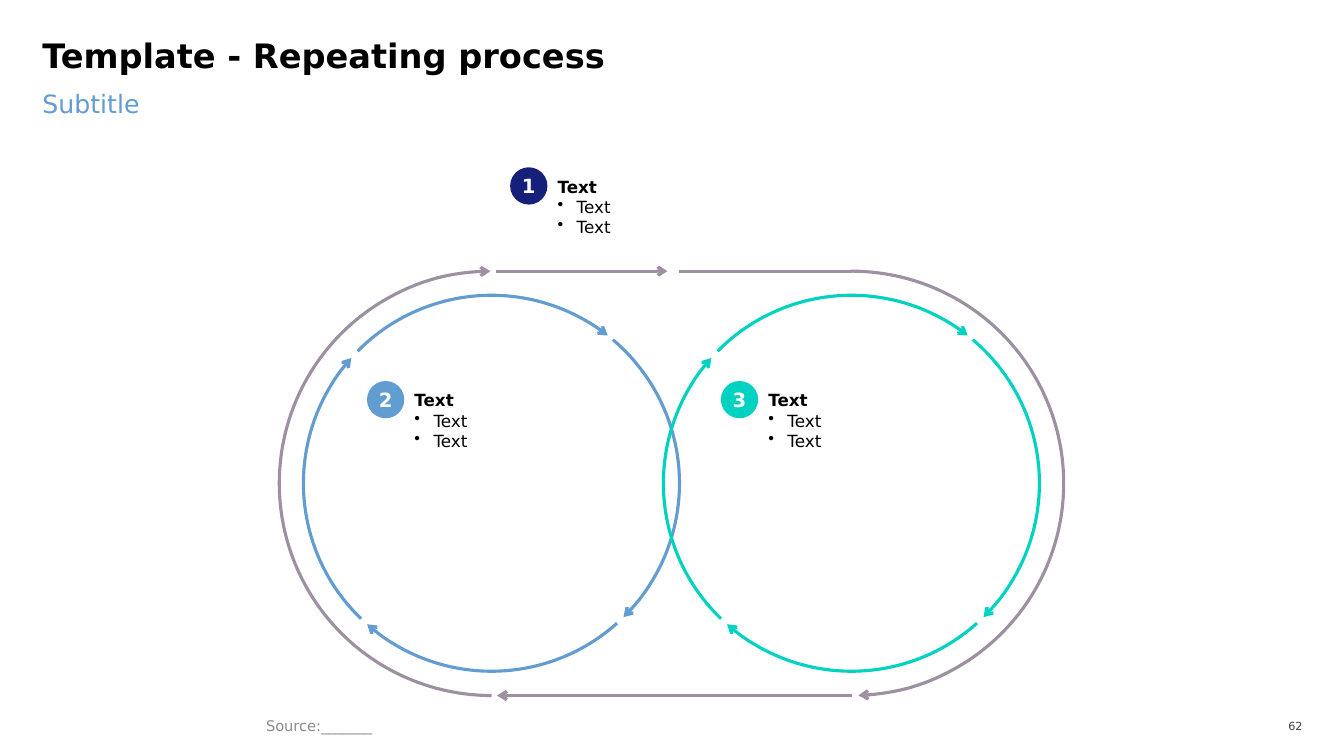
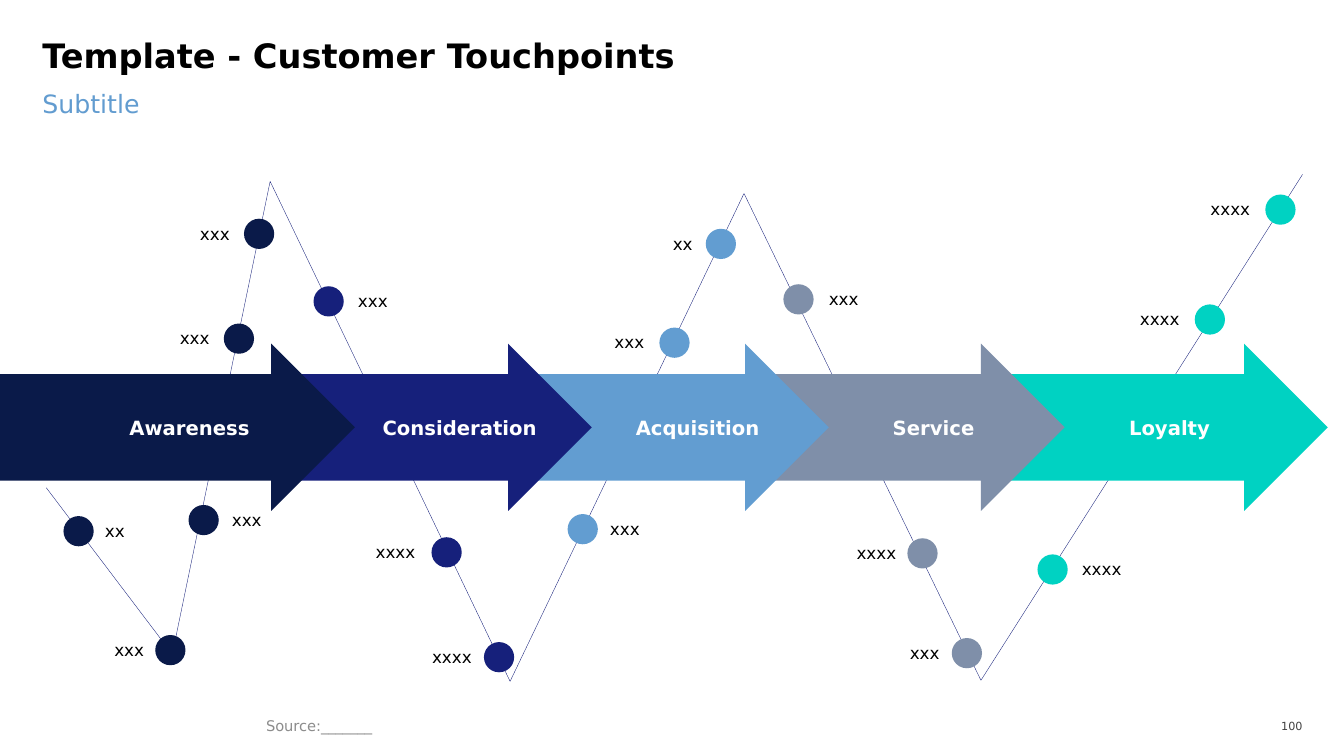
from lxml.etree import SubElement
from pptx import Presentation
from pptx.dml.color import RGBColor
from pptx.enum.shapes import MSO_CONNECTOR, MSO_SHAPE
from pptx.enum.text import MSO_ANCHOR, MSO_AUTO_SIZE, PP_ALIGN
from pptx.oxml.ns import qn
from pptx.util import Pt

EMU_PER_PX = 9144  # 100 px to the inch
FONT = "DejaVu Sans"
COLOURS = {
    "black": "000000", "white": "FFFFFF", "page": "404040", "source": "8C8C8C",
    "subtitle": "629CD0", "track": "9D90A0", "midnight": "0A1A49",
    "navy": "16207B", "blue": "629DD1", "slate": "7F8FA9", "teal": "00D2C2",
}
TITLE = {"size": 24, "bold": True}
BADGE = {"size": 14, "bold": True, "colour": "white", "align": PP_ALIGN.CENTER}
STAGE = BADGE
TOP, MIDDLE = MSO_ANCHOR.TOP, MSO_ANCHOR.MIDDLE
NO_MARGIN = (0, 0)

# start and end of the four arcs of an inner circle, in degrees clockwise from the right
CIRCLE_ARCS = [(133.9, 221.8), (224.6, 308.2), (310.2, 45.4), (48.1, 131.4)]

# left, width, colour, label, centre of the label
STAGES = [
    (0, 352, "midnight", "Awareness", 188),
    (277, 310, "navy", "Consideration", 456),
    (512, 310, "blue", "Acquisition", 692),
    (746, 310, "slate", "Service", 926),
    (981, 336, "teal", "Loyalty", 1160),
]
JOURNEY = [(46, 314), (171, 479), (268, 10), (506, 506), (738, 22), (973, 505), (1292, 3)]
# left, top, colour, label, gap to the label (negative: label on the left)
TOUCHPOINTS = [
    (63, 342, "midnight", "xx", 6), (154, 460, "midnight", "xxx", -6),
    (187, 331, "midnight", "xxx", 8), (222, 151, "midnight", "xxx", -9),
    (242, 47, "midnight", "xxx", -9), (311, 114, "navy", "xxx", 9),
    (428, 363, "navy", "xxxx", -11), (480, 467, "navy", "xxxx", -7),
    (563, 340, "blue", "xxx", 7), (654, 155, "blue", "xxx", -10),
    (700, 57, "blue", "xx", -8), (777, 112, "slate", "xxx", 10),
    (900, 364, "slate", "xxxx", -6), (944, 463, "slate", "xxx", -7),
    (1029, 380, "teal", "xxxx", 9), (1185, 132, "teal", "xxxx", -10),
    (1255, 23, "teal", "xxxx", -10),
]


def px(*lengths):
    return [round(length * EMU_PER_PX) for length in lengths]


def rgb(name):
    return RGBColor.from_string(COLOURS[name])


def set_attributes(target, values):
    for name, value in values.items():
        setattr(target, name, value)


def format_paragraph(paragraph, size, bold=False, colour="black", align=PP_ALIGN.LEFT):
    paragraph.alignment = align
    set_attributes(paragraph.font, {"name": FONT, "size": Pt(size), "bold": bold})
    paragraph.font.color.rgb = rgb(colour)


def write(shape, text, margin=NO_MARGIN, anchor=TOP, **text_format):
    """Put one formatted paragraph in a shape; margin is (side, top and bottom)."""
    side, end = px(*margin)
    set_attributes(shape.text_frame, {
        "word_wrap": True, "auto_size": MSO_AUTO_SIZE.NONE, "vertical_anchor": anchor,
        "margin_left": side, "margin_right": side, "margin_top": end, "margin_bottom": end,
    })
    paragraph = shape.text_frame.paragraphs[0]
    paragraph.text = text
    format_paragraph(paragraph, **text_format)
    return paragraph


def add_text(slide, box, text, **options):
    shape = slide.shapes.add_textbox(*px(*box))
    write(shape, text, **options)
    return shape


def add_filled(slide, kind, box, colour):
    shape = slide.shapes.add_shape(kind, *px(*box))
    shape.shadow.inherit = False
    shape.fill.solid()
    shape.fill.fore_color.rgb = rgb(colour)
    shape.line.fill.background()
    return shape


def format_line(shape, colour, width, arrow=False):
    shape.line.color.rgb = rgb(colour)
    shape.line.width = Pt(width)
    if arrow:
        SubElement(shape.line._get_or_add_ln(), qn("a:tailEnd"), type="arrow")


def add_arc(slide, box, angles, colour):
    arc = slide.shapes.add_shape(MSO_SHAPE.ARC, *px(*box))
    arc.shadow.inherit = False
    arc.fill.background()
    for index, degrees in enumerate(angles):
        # an adjustment counts 100000 units, a degree 60000
        arc.adjustments[index] = degrees * 0.6
    format_line(arc, colour, 2.25, arrow=True)


def add_track_line(slide, start, end, arrow):
    line = slide.shapes.add_connector(MSO_CONNECTOR.STRAIGHT, *px(*start, *end))
    format_line(line, "track", 2.25, arrow)
    SubElement(line._element.spPr, qn("a:effectLst"))


def add_slide(presentation, title, number):
    """Add a slide with the title, subtitle, source and page number all slides share."""
    slide = presentation.slides.add_slide(presentation.slide_layouts[5])
    heading = slide.shapes.title
    names = ("left", "top", "width", "height")
    set_attributes(heading, dict(zip(names, px(42, 42, 1249, 53))))
    write(heading, title, **TITLE).line_spacing = 0.8
    add_text(slide, (42, 88, 1249, 63), "Subtitle", size=18, colour="subtitle")
    add_text(slide, (254, 707, 639, 26), "Source:_______", margin=(10, 5),
             anchor=MIDDLE, size=10.5, colour="source")
    add_text(slide, (1250, 709, 42, 23), str(number), anchor=MIDDLE, size=8,
             colour="page", align=PP_ALIGN.RIGHT)
    return slide


def add_numbered_note(slide, left, top, width, number, colour):
    badge = add_filled(slide, MSO_SHAPE.OVAL, (left, top, 37, 37), colour)
    write(badge, str(number), anchor=MIDDLE, **BADGE)
    note = add_text(slide, (left + 47, top + 9, width, 61), "Text", size=12, bold=True)
    indent, = px(19)
    for _ in range(2):
        paragraph = note.text_frame.add_paragraph()
        paragraph.text = "Text"
        properties = paragraph._p.get_or_add_pPr()
        properties.set("marL", str(indent))
        properties.set("indent", str(-indent))
        SubElement(properties, qn("a:buChar"), char="•")
        format_paragraph(paragraph, size=12)


def add_track(slide, left, top, width, height):
    """Draw the outer track and the two circles that overlap inside it."""
    inset = 24
    right, bottom = left + width, top + height
    diameter = height - 2 * inset
    circles = [(left + inset, "subtitle"), (right - inset - diameter, "teal")]
    for circle_left, colour in circles:
        for angles in CIRCLE_ARCS:
            add_arc(slide, (circle_left, top + inset, diameter, diameter), angles, colour)
    add_arc(slide, (left, top, height, height), (90, 269.7), "track")
    add_arc(slide, (right - height, top, height, height), (269.7, 88.1), "track")
    for start, end, y, arrow in [(215, 385, top, True), (396, 568, top, False),
                                 (568, 216, bottom, True)]:
        add_track_line(slide, (left + start, y), (left + end, y), arrow)


def add_journey_line(slide, left, top):
    points = [(left + x, top + y) for x, y in JOURNEY]
    builder = slide.shapes.build_freeform(*points[0], scale=EMU_PER_PX)
    builder.add_line_segments(points[1:], close=False)
    journey = builder.convert_to_shape()
    journey.shadow.inherit = False
    journey.fill.background()
    format_line(journey, "navy", 0.25)


def add_stages(slide, left, top, height):
    for offset, width, colour, _, _ in reversed(STAGES):
        arrow = add_filled(slide, MSO_SHAPE.RIGHT_ARROW,
                           (left + offset, top, width, height), colour)
        arrow.adjustments[0] = 0.636
    label_width, label_height = 180, 34
    label_top = top + (height - label_height) / 2
    for _, _, _, label, centre in STAGES:
        box = (left + centre - label_width / 2, label_top, label_width, label_height)
        add_text(slide, box, label, anchor=MIDDLE, **STAGE)


def add_touchpoints(slide, left, top):
    diameter, label_width = 30, 60
    for x, y, colour, label, gap in TOUCHPOINTS:
        dot_left, dot_top = left + x, top + y
        add_filled(slide, MSO_SHAPE.OVAL, (dot_left, dot_top, diameter, diameter), colour)
        on_left = gap < 0
        label_left = dot_left + gap + (-label_width if on_left else diameter)
        add_text(slide, (label_left, dot_top + 2, label_width, 25), label,
                 margin=(5, 3), anchor=MIDDLE, size=12,
                 align=PP_ALIGN.RIGHT if on_left else PP_ALIGN.LEFT)


def add_repeating_process(presentation):
    slide = add_slide(presentation, "Template - Repeating process", 62)
    add_numbered_note(slide, 506, 166, 349, 1, "navy")
    add_numbered_note(slide, 364, 378, 242, 2, "blue")
    add_numbered_note(slide, 715, 378, 242, 3, "teal")
    add_track(slide, 277, 269, 778, 421)


def add_customer_touchpoints(presentation):
    slide = add_slide(presentation, "Template - Customer Touchpoints", 100)
    left, top = 0, 170
    add_journey_line(slide, left, top)
    add_stages(slide, left, top + 171, 166)
    add_touchpoints(slide, left, top)


def main():
    presentation = Presentation()
    presentation.slide_width, presentation.slide_height = px(1333, 750)
    add_repeating_process(presentation)
    add_customer_touchpoints(presentation)
    presentation.save("out.pptx")


if __name__ == "__main__":
    main()
